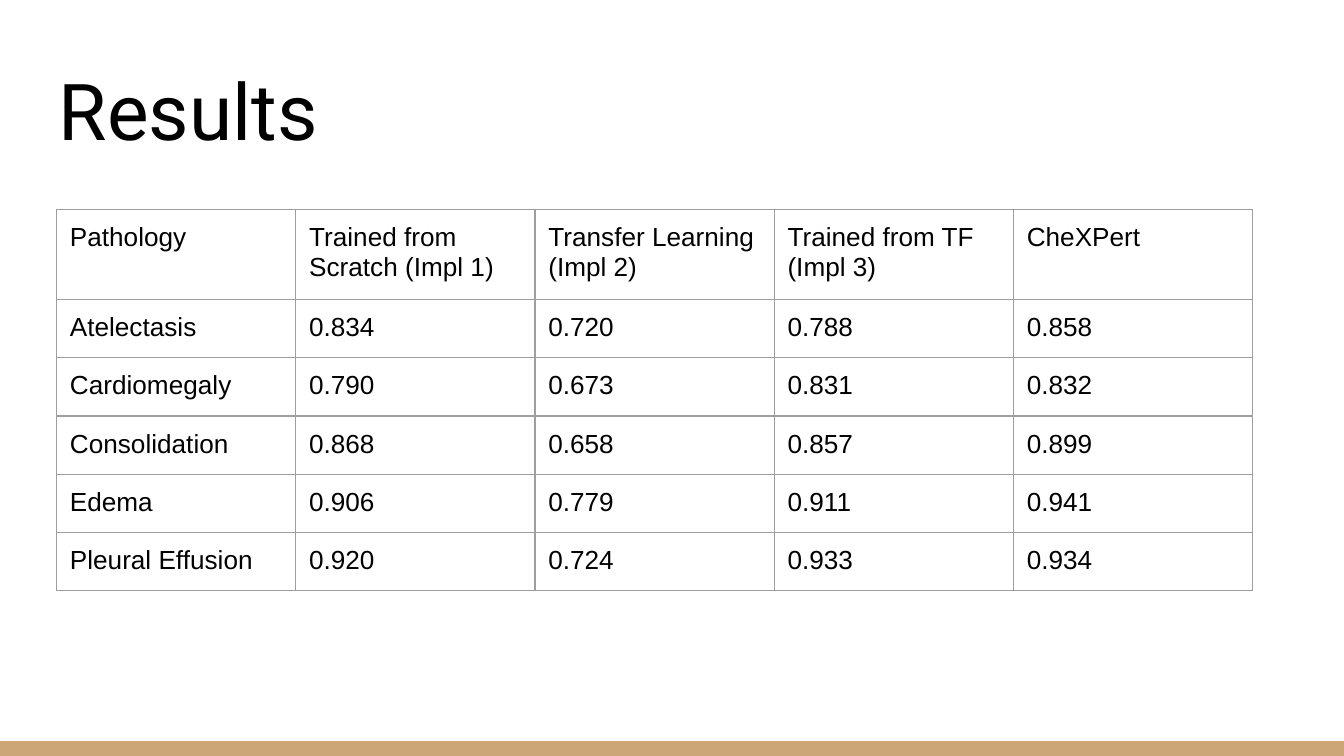
from lxml.etree import SubElement
from pptx import Presentation
from pptx.dml.color import RGBColor
from pptx.enum.shapes import MSO_SHAPE
from pptx.enum.text import MSO_ANCHOR
from pptx.oxml.ns import qn
from pptx.util import Inches, Pt

BLACK, WHITE, TAN, GREY = "000000", "FFFFFF", "CCA677", "9E9E9E"
SLIDE_WIDTH = 10
SLIDE_HEIGHT = SLIDE_WIDTH * 9 / 16
BAR_HEIGHT = 0.11
MARGIN = Inches(0.1)
COLUMN_WIDTH = 1.78
ROW_HEIGHTS = [0.42, 0.43, 0.42, 0.42, 0.42, 0.42]
RESULTS = [
    ["Pathology", "Trained from Scratch (Impl 1)", "Transfer Learning (Impl 2)",
     "Trained from TF (Impl 3)", "CheXPert"],
    ["Atelectasis", "0.834", "0.720", "0.788", "0.858"],
    ["Cardiomegaly", "0.790", "0.673", "0.831", "0.832"],
    ["Consolidation", "0.868", "0.658", "0.857", "0.899"],
    ["Edema", "0.906", "0.779", "0.911", "0.941"],
    ["Pleural Effusion", "0.920", "0.724", "0.933", "0.934"],
]


def color(hex_value):
    return RGBColor.from_string(hex_value)


def set_margins(target):
    """Give a text frame or table cell the same inset on every side."""
    target.margin_left = target.margin_right = MARGIN
    target.margin_top = target.margin_bottom = MARGIN


def add_run(paragraph, text, font_name, size):
    """Add a run whose font covers every script, so line heights stay even."""
    paragraph.line_spacing = 1.0
    paragraph.space_before = paragraph.space_after = Pt(0)
    run = paragraph.add_run()
    run.text = text
    run.font.size = Pt(size)
    run.font.color.rgb = color(BLACK)
    run.font.name = font_name
    properties = run._r.get_or_add_rPr()
    for script in ("a:ea", "a:cs"):
        SubElement(properties, qn(script), typeface=font_name)


def add_title(slide, text):
    box = slide.shapes.add_textbox(Inches(0.34), Inches(0.35), Inches(9.32), Inches(0.91))
    frame = box.text_frame
    frame.word_wrap = True
    frame.vertical_anchor = MSO_ANCHOR.BOTTOM
    set_margins(frame)
    add_run(frame.paragraphs[0], text, "Roboto", 42)


def add_footer_bar(slide):
    bar = slide.shapes.add_shape(
        MSO_SHAPE.RECTANGLE, 0, Inches(SLIDE_HEIGHT - BAR_HEIGHT),
        Inches(SLIDE_WIDTH), Inches(BAR_HEIGHT))
    bar.shadow.inherit = False
    bar.fill.solid()
    bar.fill.fore_color.rgb = color(TAN)
    bar.line.fill.background()


def set_borders(cell, hex_value, width):
    properties = cell._tc.get_or_add_tcPr()
    for position, side in enumerate(("a:lnL", "a:lnR", "a:lnT", "a:lnB")):
        line = SubElement(properties, qn(side), w=str(Pt(width)))
        fill = SubElement(line, qn("a:solidFill"))
        SubElement(fill, qn("a:srgbClr"), val=hex_value)
        properties.insert(position, line)  # borders must precede the cell fill


def add_results_table(slide, rows):
    column_count = len(rows[0])
    table = slide.shapes.add_table(
        len(rows), column_count, Inches(0.42), Inches(1.56),
        Inches(COLUMN_WIDTH * column_count), Inches(sum(ROW_HEIGHTS))).table
    table.first_row = table.horz_banding = False
    for column in table.columns:
        column.width = Inches(COLUMN_WIDTH)
    for row, height, texts in zip(table.rows, ROW_HEIGHTS, rows):
        row.height = Inches(height)
        for cell, text in zip(row.cells, texts):
            cell.fill.background()
            set_margins(cell)
            set_borders(cell, GREY, 0.75)
            add_run(cell.text_frame.paragraphs[0], text, "Arial", 14)


def main():
    presentation = Presentation()
    presentation.slide_width = Inches(SLIDE_WIDTH)
    presentation.slide_height = Inches(SLIDE_HEIGHT)
    slide = presentation.slides.add_slide(presentation.slide_layouts[6])
    slide.background.fill.solid()
    slide.background.fill.fore_color.rgb = color(WHITE)
    add_footer_bar(slide)
    add_title(slide, "Results")
    add_results_table(slide, RESULTS)
    presentation.save("out.pptx")


if __name__ == "__main__":
    main()
